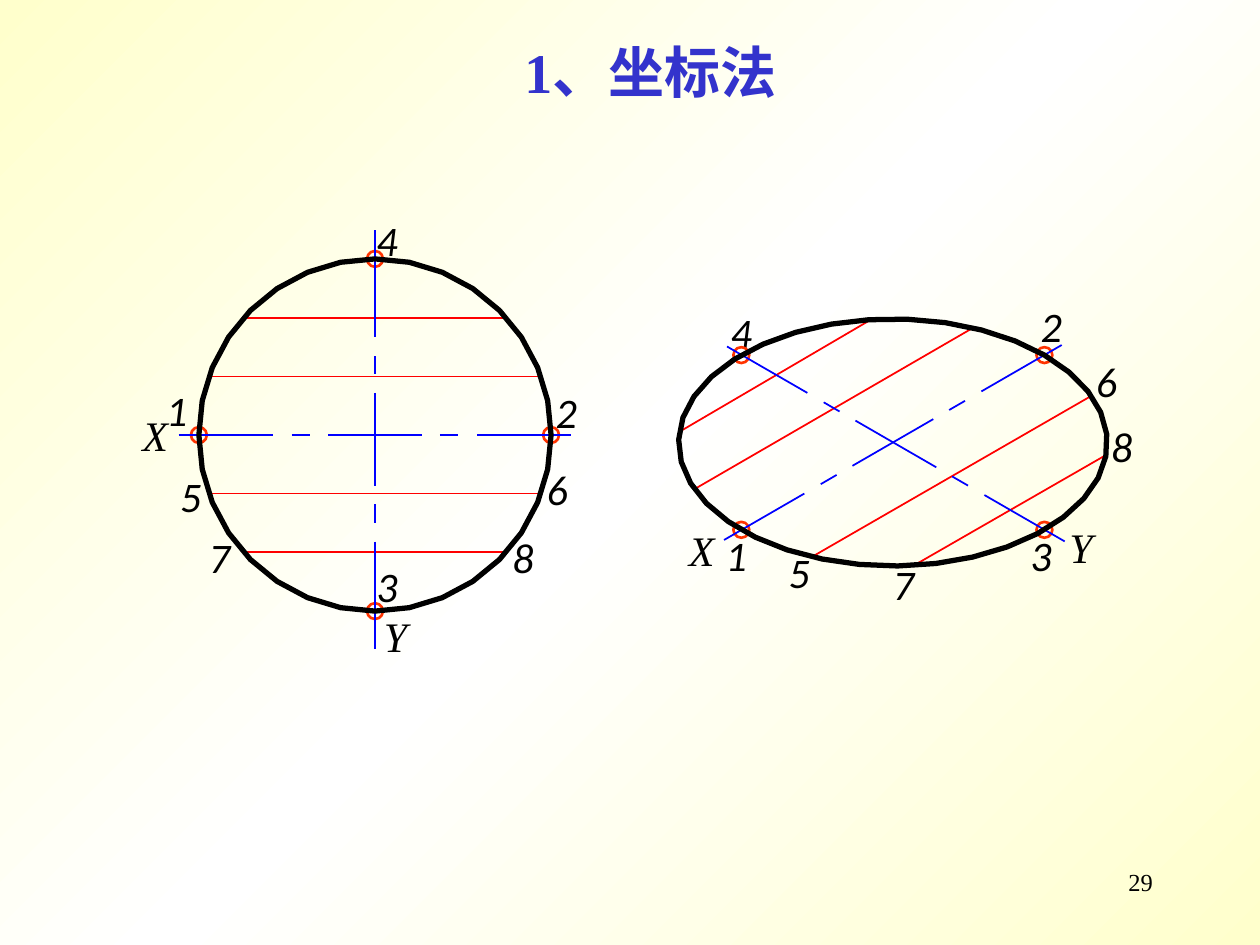
from copy import deepcopy
from math import cos, hypot, pi, radians, sin, sqrt

from pptx import Presentation
from pptx.dml.color import RGBColor
from pptx.enum.shapes import MSO_CONNECTOR, MSO_SHAPE
from pptx.enum.text import PP_ALIGN
from pptx.oxml.ns import qn
from pptx.util import Cm, Pt

CREAM = RGBColor(0xFF, 0xFF, 0xCC)
WHITE = RGBColor(0xFF, 0xFF, 0xFF)
BLACK = RGBColor(0, 0, 0)
RED = RGBColor(0xFF, 0, 0)
BLUE = RGBColor(0, 0, 0xFF)
ORANGE = RGBColor(0xFF, 0x33, 0)
INDIGO = RGBColor(0x33, 0x33, 0xCC)
SERIF, SANS = "Times New Roman", "Calibri"

# Geometry in centimetres
CIRCLE_X, CIRCLE_Y, RADIUS = 7.56, 8.77, 3.55
ELLIPSE_X, ELLIPSE_Y, HALF_WIDTH, HALF_HEIGHT = 18.0, 8.92, 4.32, 2.49
RING_SIZE = 0.32
LABEL_SIZE = 1.27
CHORD_STEP = 1.18

CIRCLE_LABELS = [
    ("5", 3.38, 9.37), ("7", 3.96, 10.59), ("8", 10.08, 10.59), ("6", 10.77, 9.22),
    ("X", 2.62, 8.13), ("Y", 7.49, 12.19),
    ("1", 3.1, 7.62), ("2", 10.95, 7.67), ("3", 7.34, 11.18), ("4", 7.34, 4.19),
]
ELLIPSE_LABELS = [
    ("7", 17.75, 11.13), ("5", 15.65, 10.9), ("6", 21.84, 7.04), ("8", 22.15, 8.36),
    ("X", 13.64, 10.44), ("Y", 21.31, 10.39),
    ("1", 14.38, 10.54), ("4", 14.48, 6.05), ("3", 20.52, 10.54), ("2", 20.73, 5.94),
]
ELLIPSE_CHORDS = [
    (13.72, 8.69, 17.58, 6.43), (14.0, 9.86, 19.63, 6.6),
    (16.36, 11.23, 22.0, 7.98), (18.42, 11.4, 22.3, 9.17),
]
# Centre x, centre y, half length, direction in degrees
AXES = [
    (7.56, 8.86, 4.22, 90), (7.56, CIRCLE_Y, 3.96, 0),
    (18.06, 8.95, 3.93, 30), (ELLIPSE_X, ELLIPSE_Y, 3.93, -30),
]


def paint_background(page):
    fill = page.background.fill
    fill.gradient()
    fill.gradient_angle = 315
    stop_list = page.element.find(".//" + qn("a:gsLst"))
    stop_list.insert(1, deepcopy(stop_list[0]))
    for stop, position, color in zip(fill.gradient_stops, (0, 0.5, 1), (CREAM, WHITE, CREAM)):
        stop.position = position
        stop.color.rgb = color


def add_text(page, text, left, top, width, height, size, color=BLACK, font=SERIF,
             bold=False, italic=False, align=PP_ALIGN.LEFT):
    box = page.shapes.add_textbox(Cm(left), Cm(top), Cm(width), Cm(height))
    box.text_frame.word_wrap = True
    para = box.text_frame.paragraphs[0]
    para.text = text
    para.alignment = align
    span = para.runs[0]
    span.font.name = font
    span.font.size = Pt(size)
    span.font.bold = bold
    span.font.italic = italic
    span.font.color.rgb = color


def add_labels(page, labels):
    for text, left, top in labels:
        add_text(page, text, left, top, LABEL_SIZE, LABEL_SIZE, 24,
                 font=SERIF if text in "XY" else SANS, italic=True)


def add_line(page, x1, y1, x2, y2, color):
    line = page.shapes.add_connector(MSO_CONNECTOR.STRAIGHT, Cm(x1), Cm(y1), Cm(x2), Cm(y2))
    line.line.color.rgb = color
    line.line.width = Pt(1)
    properties = line._element.spPr
    properties.append(properties.makeelement(qn("a:effectLst"), {}))


def add_axis(page, x, y, half_length, degrees):
    """Long and short dashes, laid out symmetrically about the centre."""
    across, down = cos(radians(degrees)), sin(radians(degrees))
    spans = [(-half_length, -2.06), (-1.68, -1.31), (-0.94, 0.94),
             (1.31, 1.68), (2.06, half_length)]
    for start, end in spans:
        add_line(page, x + start * across, y + start * down,
                 x + end * across, y + end * down, BLUE)


def add_ring(page, x, y):
    ring = page.shapes.add_shape(MSO_SHAPE.OVAL, Cm(x - RING_SIZE / 2), Cm(y - RING_SIZE / 2),
                                 Cm(RING_SIZE), Cm(RING_SIZE))
    style_outline(ring, ORANGE, 1.5)


def add_curve(page, x, y, half_width, half_height, sides, start=0.0):
    """Closed polygon that approximates a circle or an ellipse."""
    angles = [start + 2 * pi * number / sides for number in range(sides)]
    points = [(Cm(x + half_width * cos(angle)), Cm(y - half_height * sin(angle)))
              for angle in angles]
    builder = page.shapes.build_freeform(*points[0])
    builder.add_line_segments(points[1:], close=True)
    style_outline(builder.convert_to_shape(), BLACK, 3)


def style_outline(shape, color, width):
    shape.shadow.inherit = False
    shape.fill.background()
    shape.line.color.rgb = color
    shape.line.width = Pt(width)


def main():
    deck = Presentation()
    deck.slide_width, deck.slide_height = Cm(25.4), Cm(19.05)
    page = deck.slides.add_slide(deck.slide_layouts[6])
    paint_background(page)

    # Page number and title
    add_text(page, "29", 18.21, 17.35, 5.28, 1.27, 14, align=PP_ALIGN.RIGHT)
    add_text(page, "1、坐标法", 7.82, 0.64, 10.59, 1.63, 32, INDIGO,
             bold=True, align=PP_ALIGN.CENTER)

    # Chords
    for step in (-2, -1, 1, 2):
        offset = step * CHORD_STEP
        half = sqrt(RADIUS ** 2 - offset ** 2)
        add_line(page, CIRCLE_X - half, CIRCLE_Y + offset,
                 CIRCLE_X + half, CIRCLE_Y + offset, RED)
    for chord in ELLIPSE_CHORDS:
        add_line(page, *chord, RED)

    # Point and axis labels
    add_labels(page, CIRCLE_LABELS)
    add_labels(page, ELLIPSE_LABELS)

    # Rings where the axes meet the curves
    diagonal = hypot(1, 1)
    for across, down in ((1, 0), (0, 1), (-1, 0), (0, -1)):
        add_ring(page, CIRCLE_X + across * RADIUS, CIRCLE_Y + down * RADIUS)
    for across, down in ((-1, -1), (1, -1), (1, 1), (-1, 1)):
        add_ring(page, ELLIPSE_X + across * HALF_WIDTH / diagonal,
                 ELLIPSE_Y + down * HALF_HEIGHT / diagonal)

    # Axes and curves
    for axis in AXES:
        add_axis(page, *axis)
    add_curve(page, CIRCLE_X, CIRCLE_Y, RADIUS, RADIUS, 32)
    add_curve(page, ELLIPSE_X, ELLIPSE_Y, HALF_WIDTH, HALF_HEIGHT, 35, pi / 4)

    deck.save("out.pptx")


if __name__ == "__main__":
    main()
